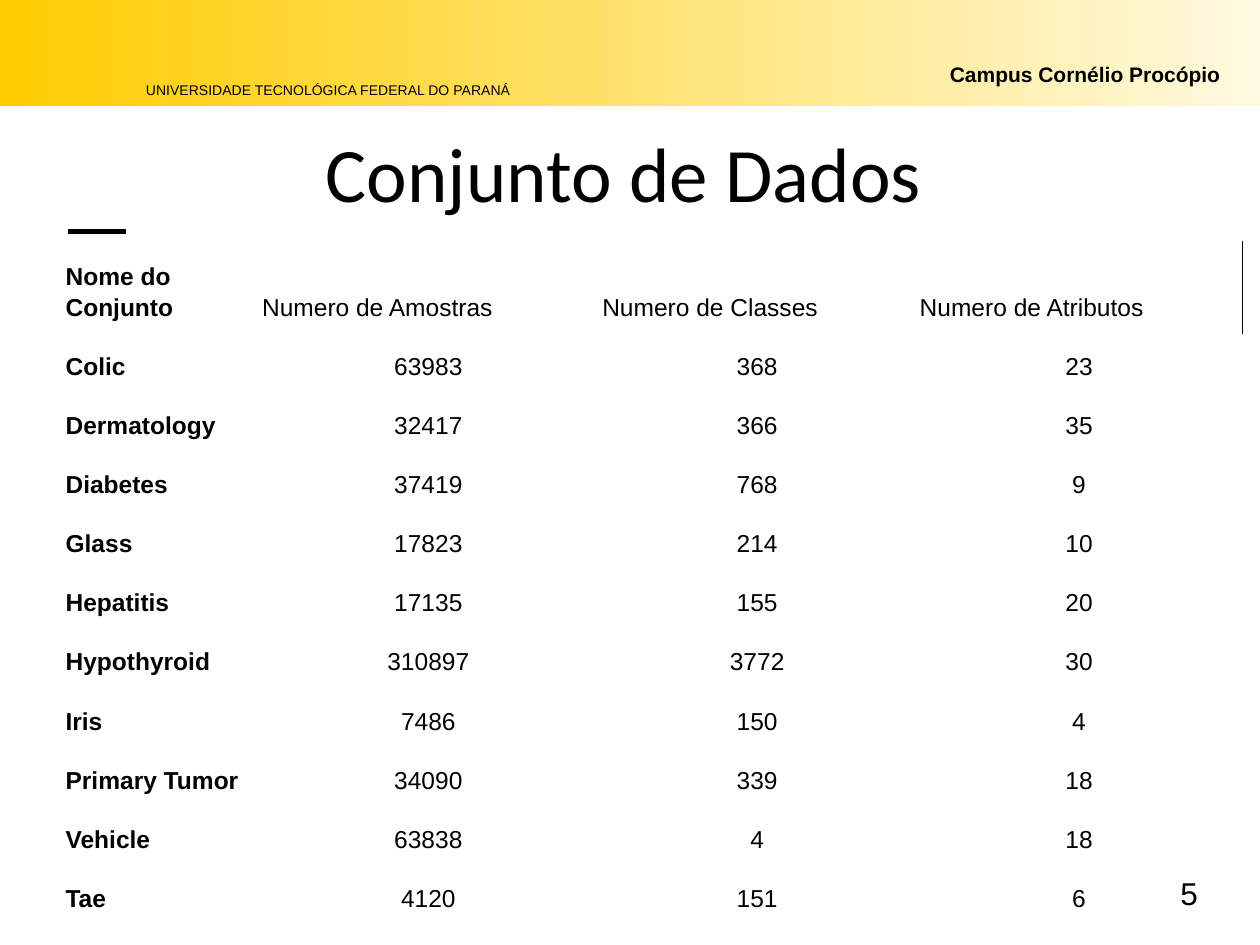
from dataclasses import dataclass

from lxml.etree import SubElement
from pptx import Presentation
from pptx.dml.color import RGBColor
from pptx.enum.shapes import MSO_CONNECTOR, MSO_SHAPE
from pptx.enum.text import MSO_ANCHOR, PP_ALIGN
from pptx.oxml import parse_xml
from pptx.oxml.ns import nsdecls, qn
from pptx.util import Pt

TITLE = "Conjunto de Dados"
# text, (left, top, width, height), size, bold, anchor
LABELS = [
    ("UNIVERSIDADE TECNOLÓGICA FEDERAL DO PARANÁ",
     (76.3, 43.2, 260.6, 17.3), 8, False, MSO_ANCHOR.TOP),
    ("Campus Cornélio Procópio",
     (535.7, 31.7, 176, 21.6), 12, True, MSO_ANCHOR.TOP),
    ("5", (667.4, 489.6, 43.2, 41), 18, False, MSO_ANCHOR.MIDDLE),
]
HEADER = ["Nome do Conjunto", "Numero de Amostras",
          "Numero de Classes", "Numero de Atributos"]
DATASETS = [
    ("Colic", 63983, 368, 23),
    ("Dermatology", 32417, 366, 35),
    ("Diabetes", 37419, 768, 9),
    ("Glass", 17823, 214, 10),
    ("Hepatitis", 17135, 155, 20),
    ("Hypothyroid", 310897, 3772, 30),
    ("Iris", 7486, 150, 4),
    ("Primary Tumor", 34090, 339, 18),
    ("Vehicle", 63838, 4, 18),
    ("Tae", 4120, 151, 6),
]
COL_WIDTHS = [112.3, 194.4, 181.4, 186.5]
ROW_HEIGHT = 30.2


@dataclass(frozen=True)
class Theme:
    text: RGBColor = RGBColor(0, 0, 0)
    band_start: RGBColor = RGBColor(0xFF, 0xCC, 0x00)
    band_end: RGBColor = RGBColor(0xFF, 0xF9, 0xDF)
    heading_font: str = "Calibri"
    body_font: str = "Arial"
    title_size: int = 44
    table_size: int = 14


THEME = Theme()


def style(p, size, bold=False, name=THEME.body_font):
    f = p.font
    f.name, f.size, f.bold = name, Pt(size), bold
    f.color.rgb = THEME.text


def add_band(s):
    band = s.shapes.add_shape(MSO_SHAPE.RECTANGLE, 0, 0, Pt(720), Pt(60.5))
    band.shadow.inherit = False
    band.line.fill.background()
    band.fill.gradient()
    band.fill.gradient_angle = 0
    colors = (THEME.band_start, THEME.band_end)
    for position, (stop, color) in enumerate(zip(band.fill.gradient_stops, colors)):
        stop.position = position
        stop.color.rgb = color


def add_label(s, text, box, size, bold, anchor):
    tf = s.shapes.add_textbox(*map(Pt, box)).text_frame
    tf.word_wrap = True
    tf.vertical_anchor = anchor
    tf.text = text
    style(tf.paragraphs[0], size, bold)


def add_rule(s):
    rule = s.shapes.add_connector(MSO_CONNECTOR.STRAIGHT,
                                  Pt(38.9), Pt(132.5), Pt(72), Pt(132.5))
    rule.line.color.rgb = THEME.text
    rule.line.width = Pt(3)
    SubElement(rule._element.spPr, qn("a:effectLst"))


def set_title(s):
    title = s.shapes.title
    title.left, title.top, title.width, title.height = map(
        Pt, (20.9, 65.5, 671, 65.5))
    tf = title.text_frame
    tf.margin_top = tf.margin_bottom = Pt(7.2)
    tf.vertical_anchor = MSO_ANCHOR.MIDDLE
    tf.text = TITLE
    p = tf.paragraphs[0]
    p.alignment = PP_ALIGN.CENTER
    style(p, THEME.title_size, name=THEME.heading_font)


def add_right_border(cell):
    border = parse_xml(
        f'<a:lnR {nsdecls("a")} w="{Pt(0.75)}"><a:solidFill>'
        f'<a:srgbClr val="{THEME.text}"/></a:solidFill></a:lnR>')
    cell._tc.get_or_add_tcPr().insert(0, border)


def add_dataset_table(s):
    rows = [HEADER, *DATASETS]
    table = s.shapes.add_table(
        len(rows), len(HEADER), Pt(35.3), Pt(138.2),
        Pt(sum(COL_WIDTHS)), Pt(ROW_HEIGHT * len(rows))).table
    table.first_row = table.horz_banding = False
    for column, width in zip(table.columns, COL_WIDTHS):
        column.width = Pt(width)
    for i, values in enumerate(rows):
        table.rows[i].height = Pt(ROW_HEIGHT)
        for j, value in enumerate(values):
            cell = table.cell(i, j)
            cell.fill.background()
            cell.vertical_anchor = MSO_ANCHOR.BOTTOM
            cell.margin_left = cell.margin_right = Pt(2.2)
            cell.margin_top = cell.margin_bottom = Pt(7.2)
            cell.text = str(value)
            p = cell.text_frame.paragraphs[0]
            p.line_spacing = 1.15
            p.alignment = PP_ALIGN.CENTER if i and j else PP_ALIGN.LEFT
            style(p, THEME.table_size, bold=j == 0)
    add_right_border(table.cell(0, len(HEADER) - 1))


def main():
    prs = Presentation()
    prs.slide_width, prs.slide_height = Pt(720), Pt(540)
    s = prs.slides.add_slide(prs.slide_layouts[5])
    add_band(s)
    set_title(s)
    add_rule(s)
    for label in LABELS:
        add_label(s, *label)
    add_dataset_table(s)
    prs.save("out.pptx")


if __name__ == "__main__":
    main()
